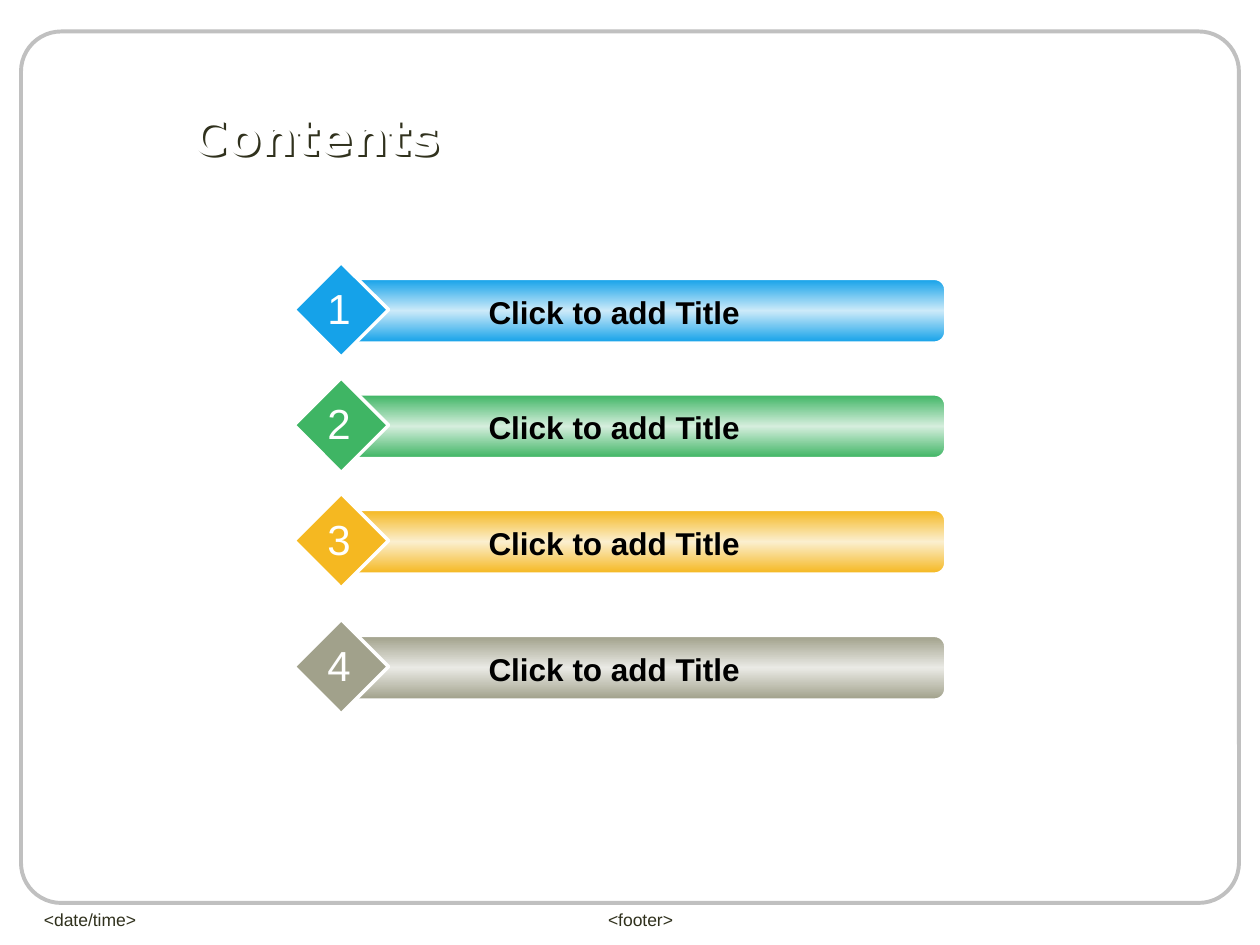
import copy

import pptx
import pptx.dml.color
import pptx.enum.shapes
import pptx.enum.text
import pptx.oxml
import pptx.oxml.ns
import pptx.util

SHAPE = pptx.enum.shapes.MSO_SHAPE
ALIGN = pptx.enum.text.PP_ALIGN
ANCHOR = pptx.enum.text.MSO_ANCHOR
FIT = pptx.enum.text.MSO_AUTO_SIZE

PX_PER_INCH = 120
ROW_LEFT, ROW_WIDTH, ROW_HEIGHT = 280, 620, 90
ITEMS = [
    # top, strong colour, pale colour
    (250, "15A2E9", "CCEAF9"),
    (360, "3FB564", "D5EEDD"),
    (470, "F5B821", "FBEFCF"),
    (590, "A1A18B", "EAEAE5"),
]


def px(count):
    return pptx.util.Emu(count * 914400 // PX_PER_INCH)


def color(hex_string):
    return pptx.dml.color.RGBColor.from_string(hex_string)


def place(item, box):
    item.left, item.top, item.width, item.height = map(px, box)


def write(item, text, size, ink, font="Arial", bold=False, align=ALIGN.LEFT,
          anchor=ANCHOR.TOP, wrap=True, fit=FIT.NONE):
    """Put one formatted line into a shape."""
    frame = item.text_frame
    frame.word_wrap = wrap
    frame.auto_size = fit
    frame.vertical_anchor = anchor
    para = frame.paragraphs[0]
    para.alignment = align
    span = para.add_run()
    span.text = text
    span.font.name = font
    span.font.size = pptx.util.Pt(size)
    span.font.bold = bold
    span.font.color.rgb = color(ink)


def add_text(shapes, box, text, **style):
    write(shapes.add_textbox(*map(px, box)), text, **style)


def add_outlined(shapes, kind, box, line, width):
    shape = shapes.add_shape(kind, *map(px, box))
    shape.shadow.inherit = False
    shape.line.color.rgb = color(line)
    shape.line.width = pptx.util.Pt(width)
    return shape


def fill_band(shape, edge, middle):
    """Fill from edge colour through middle and back, top to bottom."""
    shape.fill.gradient()
    shape.fill.gradient_angle = 90
    stops = next(shape._element.spPr.iter(pptx.oxml.ns.qn("a:gsLst")))
    stops.append(copy.deepcopy(stops[0]))
    values = [(0, edge), (0.5, middle), (1, edge)]
    for stop, (position, tint) in zip(shape.fill.gradient_stops, values):
        stop.position = position
        stop.color.rgb = color(tint)


def cast_text_shadow(shape, tint):
    """Give an unfilled shape a hard shadow, which falls from its text."""
    shape.fill.background()
    shape.line.fill.background()
    shape._element.spPr.append(pptx.oxml.parse_xml(
        f'<a:effectLst {pptx.oxml.ns.nsdecls("a")}>'
        f'<a:outerShdw blurRad="0" dist="{px(3)}" dir="2700000" algn="tl" '
        f'rotWithShape="0"><a:srgbClr val="{tint}"/></a:outerShdw>'
        '</a:effectLst>'))


def add_frame(page, box):
    left, top, width, height = box
    border = add_outlined(page.shapes, SHAPE.ROUNDED_RECTANGLE, box, "C0C0C0", 2.25)
    border.fill.background()
    border.adjustments[0] = 0.046
    foot = top + height
    style = dict(size=10, ink="30311D")
    add_text(page.shapes, (left + 10, foot, 280, 32), "<date/time>", **style)
    add_text(page.shapes, (left + 400, foot, 380, 32), "<footer>",
             align=ALIGN.CENTER, **style)


def add_title(page, box):
    title = page.shapes.title
    place(title, box)
    write(title, "Contents", size=28, ink="FFFFFF", font="DejaVu Sans",
          bold=True, anchor=ANCHOR.MIDDLE)
    cast_text_shadow(title, "30311D")


def add_item(page, box, number, strong, pale):
    left, top, width, height = box
    shapes = page.shapes.add_group_shape().shapes
    bar = add_outlined(shapes, SHAPE.ROUNDED_RECTANGLE,
                       (left + 50, top + 16, width - 50, height - 30), "FFFFFF", 1)
    fill_band(bar, strong, pale)
    diamond = add_outlined(shapes, SHAPE.DIAMOND, (left, top, height, height),
                           "FFFFFF", 2)
    diamond.fill.solid()
    diamond.fill.fore_color.rgb = color(strong)
    style = dict(align=ALIGN.CENTER, fit=FIT.SHAPE_TO_FIT_TEXT)
    add_text(shapes, (left + 80, top + 23, 450, 48), "Click to add Title",
             size=18, ink="000000", bold=True, **style)
    add_text(shapes, (left + 20, top + 13, 45, 60), str(number),
             size=24, ink="FFFFFF", wrap=False, **style)


def main():
    deck = pptx.Presentation()
    deck.slide_width, deck.slide_height = px(1200), px(900)
    page = deck.slides.add_slide(deck.slide_layouts.get_by_name("Title Only"))
    add_frame(page, (20, 30, 1160, 830))
    add_title(page, (170, 94, 960, 70))
    for number, (top, strong, pale) in enumerate(ITEMS, 1):
        add_item(page, (ROW_LEFT, top, ROW_WIDTH, ROW_HEIGHT), number, strong, pale)
    deck.save("out.pptx")


if __name__ == "__main__":
    main()
